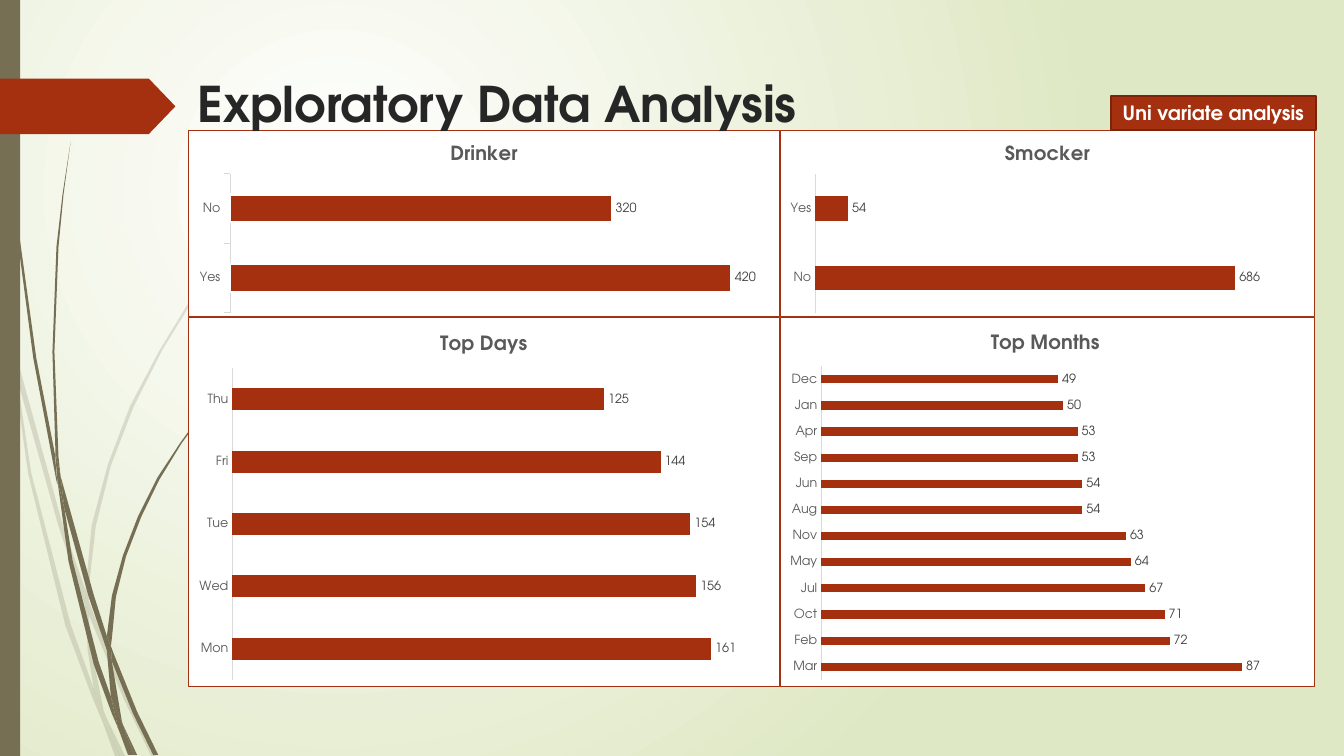
from lxml import etree
from pptx import Presentation
from pptx.chart.data import CategoryChartData
from pptx.dml.color import RGBColor
from pptx.enum import chart as ch, shapes, text
from pptx.oxml import parse_xml
from pptx.oxml.ns import qn
from pptx.util import Inches, Pt

FONT = "TeX Gyre Adventor"
COLORS = {"rust": "A53010", "rust_dark": "7A240C", "olive": "766F54",
          "pale": "DFE8C4", "white": "FFFFFF", "title": "262626",
          "heading": "595959", "label": "404040", "axis": "D9D9D9"}
NS = ('xmlns:a="http://schemas.openxmlformats.org/drawingml/2006/main" '
      'xmlns:c="http://schemas.openxmlformats.org/drawingml/2006/chart"')

TITLE = "Exploratory Data Analysis"
BADGE = "Uni variate analysis"

# Chart grid: (left, width) of columns and (top, height) of rows
COLUMNS = [(1.86, 5.88), (7.74, 5.3)]
ROWS = [(1.29, 1.86), (3.14, 3.68)]

# Plot is (left, top, right, bottom) and heading is (left, top), in slide inches
CHARTS = [
    {"title": "Drinker", "cell": (0, 0), "gap": 150, "max": 450,
     "plot": (2.28, 1.72, 7.61, 3.11), "heading": (4.43, 1.38),
     "data": {"Yes": 420, "No": 320}, "ticks": True},
    {"title": "Smocker", "cell": (0, 1), "gap": 182, "max": 800,
     "plot": (8.08, 1.72, 12.95, 3.11), "heading": (9.93, 1.38),
     "data": {"No": 686, "Yes": 54}},
    {"title": "Top Days", "cell": (1, 0), "gap": 182, "max": 180,
     "plot": (2.3, 3.65, 7.62, 6.75), "heading": (4.33, 3.27),
     "data": {"Mon": 161, "Wed": 156, "Tue": 154, "Fri": 144, "Thu": 125}},
    {"title": "Top Months", "cell": (1, 1), "gap": 219, "max": 100,
     "plot": (8.14, 3.63, 12.95, 6.75), "heading": (9.79, 3.26),
     "data": {"Mar": 87, "Feb": 72, "Oct": 71, "Jul": 67, "May": 64, "Nov": 63,
              "Aug": 54, "Jun": 54, "Sep": 53, "Apr": 53, "Jan": 50, "Dec": 49}},
]

# Grass: outlines of the blade pieces
PALE_GRASS = [
    [(0.11, 3.5), (0.09, 3.22), (0, 2.82), (0, 2.99), (0.1, 3.44)],
    [(0.58, 5.22), (0.84, 5.99), (0.85, 5.86), (0.62, 5.2), (0.14, 3.45), (0.17, 3.76)],
    [(0.92, 6.07), (0.88, 5.96), (0.88, 6.1), (1.23, 6.94), (1.5, 7.5), (1.55, 7.5),
     (1.27, 6.92)],
    [(1.19, 7.5), (1.24, 7.5), (1.05, 7.11)],
    [(0.93, 6.83), (0.7, 6.19), (0.31, 4.69), (0.17, 3.76), (0.11, 3.5), (0.28, 4.7),
     (0.65, 6.21), (0.92, 6.93), (1.01, 7.14), (0.99, 7.07)],
    [(0.84, 5.99), (0.87, 6.46), (0.93, 6.83), (0.96, 6.92), (1.05, 7.11), (1.03, 7.06),
     (0.91, 6.46), (0.88, 6.1), (0.88, 6.08)],
    [(0.88, 5.84), (0.95, 5.22), (1.1, 4.62), (1.32, 4.05), (1.6, 3.49), (1.93, 2.95),
     (2.29, 2.45), (2.68, 1.98), (2.9, 1.75), (3.12, 1.54), (3.12, 1.53), (2.89, 1.75),
     (2.68, 1.97), (2.28, 2.44), (1.91, 2.94), (1.58, 3.48), (1.29, 4.03), (1.07, 4.61),
     (0.91, 5.21), (0.85, 5.84), (0.85, 5.86), (0.88, 5.96)],
    [(1.01, 7.14), (1.14, 7.5), (1.19, 7.5)],
    [(0.88, 6.08), (0.88, 6.1), (0.88, 5.96), (0.85, 5.86), (0.84, 5.99)],
    [(0.96, 6.92), (0.93, 6.83), (0.99, 7.07), (1.01, 7.14), (1.19, 7.5), (1.05, 7.11)],
]
DARK_GRASS = [
    [(0.07, 1.1), (0.17, 2.33), (0.33, 3.55), (0.56, 4.77), (0.57, 4.81), (0.55, 4.57),
     (0.55, 4.53), (0.36, 3.55), (0.19, 2.32), (0.08, 1.09), (0.05, 0.48), (0.04, 0),
     (0.03, 0), (0.04, 0.48)],
    [(0.88, 5.92), (1.06, 6.45), (1.06, 6.33), (1.06, 6.31), (0.93, 5.9), (0.6, 4.72),
     (0.64, 5.05)],
    [(1.13, 6.49), (1.1, 6.41), (1.11, 6.56), (1.32, 7.08), (1.52, 7.49), (1.57, 7.49),
     (1.36, 7.06)],
    [(1.1, 6.91), (0.98, 6.57), (0.72, 5.56), (0.64, 5.05), (0.57, 4.77), (0.68, 5.57),
     (0.93, 6.59), (1.11, 7.08), (1.17, 7.22), (1.16, 7.17)],
    [(0.6, 4.72), (0.58, 4.53), (0.54, 3.49), (0.58, 2.45), (0.63, 1.93), (0.7, 1.41),
     (0.62, 1.93), (0.56, 2.45), (0.52, 3.49), (0.55, 4.49)],
    [(1.33, 7.49), (1.36, 7.49), (1.22, 7.19)],
    [(0.57, 4.77), (0.64, 5.05), (0.6, 4.72), (0.55, 4.49), (0.55, 4.53)],
    [(1.11, 6.33), (1.15, 5.92), (1.25, 5.52), (1.4, 5.13), (1.58, 4.76), (1.8, 4.4),
     (2.05, 4.06), (2.31, 3.74), (2.45, 3.59), (2.61, 3.44), (2.6, 3.44), (2.45, 3.58),
     (2.31, 3.73), (2.04, 4.05), (1.79, 4.39), (1.56, 4.74), (1.37, 5.12), (1.22, 5.51),
     (1.11, 5.91), (1.06, 6.31), (1.1, 6.41)],
    [(1.17, 7.22), (1.27, 7.49), (1.31, 7.49)],
    [(1.06, 6.45), (1.1, 6.91), (1.16, 7.06), (1.22, 7.19), (1.21, 7.16), (1.11, 6.56),
     (1.09, 6.51)],
    [(1.06, 6.45), (1.09, 6.51), (1.11, 6.56), (1.1, 6.41), (1.06, 6.31), (1.06, 6.33)],
    [(1.16, 7.06), (1.1, 6.91), (1.16, 7.17), (1.17, 7.22), (1.3, 7.49), (1.33, 7.49),
     (1.22, 7.19)],
]


def rgb(name):
    return RGBColor.from_string(COLORS[name])


def style_font(font, size, color, bold=False):
    font.name, font.size, font.bold = FONT, Pt(size), bold
    font.color.rgb = rgb(color)


def paint(sp, color, line=None):
    sp.shadow.inherit = False
    sp.fill.solid()
    sp.fill.fore_color.rgb = rgb(color)
    if line:
        sp.line.color.rgb = rgb(line)
        sp.line.width = Pt(1.25)
    else:
        sp.line.fill.background()


def add_grass(slide, outline, opacity):
    points = [(Inches(x), Inches(y)) for x, y in outline]
    builder = slide.shapes.build_freeform(*points[0])
    builder.add_line_segments(points[1:])
    sp = builder.convert_to_shape()
    paint(sp, "olive")
    if opacity < 100:
        color = sp._element.spPr.find(qn("a:solidFill"))[0]
        etree.SubElement(color, qn("a:alpha")).set("val", str(opacity * 1000))


def set_layout(element, index, **values):
    """Fix the place of a chart part, in fractions of the chart."""
    for old in element.findall(qn("c:layout")):
        element.remove(old)
    target = '<c:layoutTarget val="inner"/>' if "w" in values else ""
    modes = '<c:xMode val="edge"/><c:yMode val="edge"/>'
    sizes = "".join(f'<c:{k} val="{v:.4f}"/>' for k, v in values.items())
    element.insert(index, parse_xml(
        f"<c:layout {NS}><c:manualLayout>{target}{modes}{sizes}"
        "</c:manualLayout></c:layout>"))


def add_bar_chart(slide, spec):
    row, col = spec["cell"]
    (left, width), (top, height) = COLUMNS[col], ROWS[row]
    data = CategoryChartData()
    data.categories = list(spec["data"])
    data.add_series("Series 1", list(spec["data"].values()))
    chart = slide.shapes.add_chart(
        ch.XL_CHART_TYPE.BAR_CLUSTERED, Inches(left), Inches(top),
        Inches(width), Inches(height), data).chart
    chart.has_legend = False
    style_font(chart.font, 10, "heading")

    chart.has_title = True
    tf = chart.chart_title.text_frame
    tf.text = spec["title"]
    style_font(tf.paragraphs[0].runs[0].font, 14, "heading", True)
    x, y = spec["heading"]
    set_layout(chart.chart_title._element, 1, x=(x - left) / width, y=(y - top) / height)
    x1, y1, x2, y2 = spec["plot"]
    set_layout(chart._chartSpace.chart.plotArea, 0, x=(x1 - left) / width,
               y=(y1 - top) / height, w=(x2 - x1) / width, h=(y2 - y1) / height)

    values, cats = chart.value_axis, chart.category_axis
    values.minimum_scale, values.maximum_scale = 0, spec["max"]
    values.has_major_gridlines = values.visible = False
    ticks = ch.XL_TICK_MARK
    cats.major_tick_mark = ticks.OUTSIDE if spec.get("ticks") else ticks.NONE
    cats.format.line.color.rgb = rgb("axis")
    cats.format.line.width = Pt(0.75)
    style_font(cats.tick_labels.font, 9, "heading")

    plot = chart.plots[0]
    plot.gap_width, plot.vary_by_categories = spec["gap"], False
    bars = plot.series[0].format
    bars.fill.solid()
    bars.fill.fore_color.rgb = rgb("rust")
    if spec.get("ticks"):
        bars.line.color.rgb = rgb("white")
        bars.line.width = Pt(1.5)
    plot.has_data_labels = True
    labels = plot.data_labels
    labels.show_value = True
    labels.position = ch.XL_LABEL_POSITION.OUTSIDE_END
    style_font(labels.font, 9, "label")
    chart._chartSpace.chart.addnext(parse_xml(
        f'<c:spPr {NS}><a:solidFill><a:srgbClr val="{COLORS["white"]}"/></a:solidFill>'
        f'<a:ln w="9525"><a:solidFill><a:srgbClr val="{COLORS["rust"]}"/></a:solidFill>'
        "</a:ln></c:spPr>"))


def set_background(slide):
    fill = slide.background.fill
    fill.gradient()
    for stop, color, pos in zip(fill.gradient_stops, ("white", "pale"), (0, 1)):
        stop.color.rgb, stop.position = rgb(color), pos
    grad = slide.background._cSld.find(".//" + qn("a:gradFill"))
    grad.replace(grad.find(qn("a:lin")), parse_xml(
        f'<a:path {NS} path="circle">'
        '<a:fillToRect l="50000" t="50000" r="100000" b="100000"/></a:path>'))


def add_box(slide, preset, box, color, line=None):
    sp = slide.shapes.add_shape(preset, *map(Inches, box))
    paint(sp, color, line)
    return sp


prs = Presentation()
prs.slide_width, prs.slide_height = Inches(13.33), Inches(7.5)
slide = prs.slides.add_slide(prs.slide_layouts[5])
set_background(slide)
for pieces, opacity in ((PALE_GRASS, 20), (DARK_GRASS, 100)):
    for outline in pieces:
        add_grass(slide, outline, opacity)
preset = shapes.MSO_SHAPE
add_box(slide, preset.RECTANGLE, (0, 0, 0.2, 7.5), "olive")
arrow = add_box(slide, preset.PENTAGON, (0, 0.78, 1.74, 0.55), "rust")
arrow.adjustments[0] = 0.48
for spec in CHARTS:
    add_bar_chart(slide, spec)
badge = add_box(slide, preset.RECTANGLE, (11.02, 0.95, 2.03, 0.34), "rust", "rust_dark")
title = slide.shapes.title
title.left, title.top, title.width, title.height = map(Inches, (1.86, 0.68, 11.19, 0.64))
for sp, words, size, color, align, anchor in (
        (badge, BADGE, 14, "white", text.PP_ALIGN.CENTER, text.MSO_ANCHOR.MIDDLE),
        (title, TITLE, 35.1, "title", text.PP_ALIGN.LEFT, text.MSO_ANCHOR.TOP)):
    tf = sp.text_frame
    tf.text = words
    tf.word_wrap = sp is title
    tf.auto_size = text.MSO_AUTO_SIZE.NONE
    tf.vertical_anchor = anchor
    p = tf.paragraphs[0]
    p.alignment = align
    style_font(p.runs[0].font, size, color, True)
slide.shapes._spTree.append(title._element)
prs.save("out.pptx")
